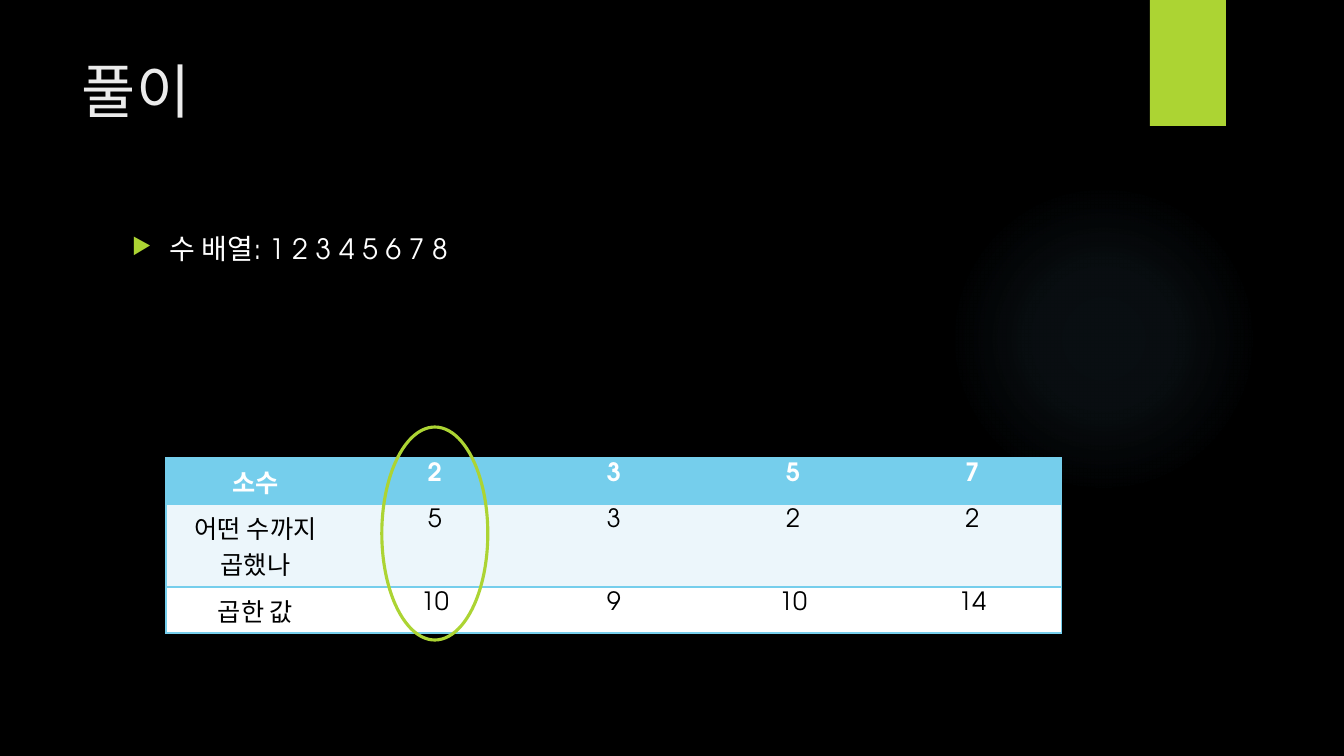
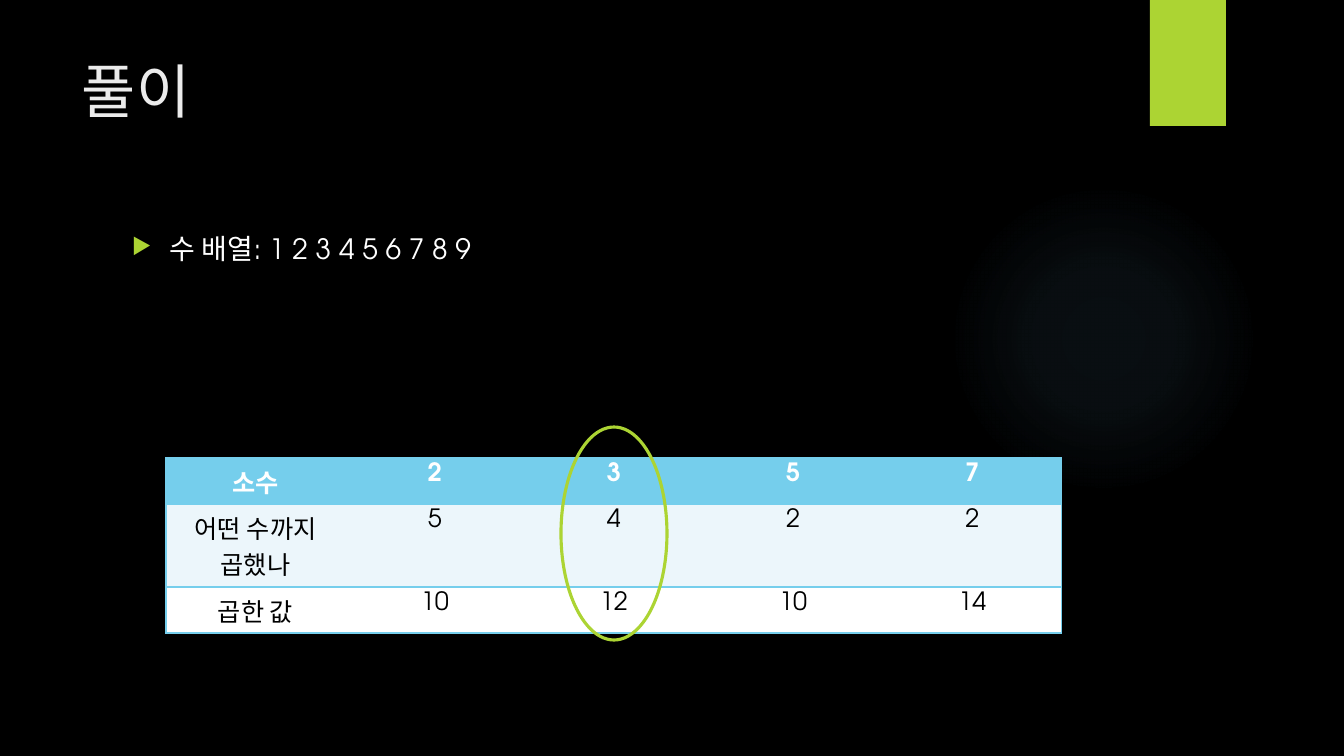
"""Builds two solution slides, each with a table of primes and one ringed column."""
import pptx
import pptx.dml.color
import pptx.enum.shapes
import pptx.enum.text
import pptx.oxml
import pptx.oxml.ns
import pptx.util

TITLE = "풀이"
HEADS = ["소수", "어떤 수까지\v곱했나", "곱한 값"]
PRIMES = ["2", "3", "5", "7"]
SLIDES = [
    {"list": "수 배열: 1 2 3 4 5 6 7 8", "ring": 1,
     "counts": ["5", "3", "2", "2"], "values": ["10", "9", "10", "14"]},
    {"list": "수 배열: 1 2 3 4 5 6 7 8 9", "ring": 2,
     "counts": ["5", "4", "2", "2"], "values": ["10", "12", "10", "14"]},
]

FONT = "TeX Gyre Adventor"
COLORS = {"back": "000000", "lime": "ACD433", "glow": "7AC4F0", "title": "EBEBEB",
          "white": "FFFFFF", "black": "000000", "sky": "75CEEC", "pale": "ECF6FB"}
ROWS = [(46, "sky", "white", True), (83, "pale", "black", False), (46, "white", "black", False)]
GLOW = [(0, 7), (36, 6), (69, 0)]
PX = 914400 / 100.8
WIDE, HIGH = 1344, 756
TABLE = (166, 458, 896, sum(row[0] for row in ROWS))
COLS = len(PRIMES) + 1
RING = (106, 213)
NS = pptx.oxml.ns.nsdecls("a")
OVAL = pptx.enum.shapes.MSO_SHAPE.OVAL
RECT = pptx.enum.shapes.MSO_SHAPE.RECTANGLE


def px(*sizes):
    return [pptx.util.Emu(round(size * PX)) for size in sizes]


def color(name):
    return pptx.dml.color.RGBColor.from_string(COLORS[name])


def paint(fill, name):
    fill.solid()
    fill.fore_color.rgb = color(name)


def style(frame, size, name, bold=False):
    for par in frame.paragraphs:
        for run in par.runs:
            run.font.name = FONT
            run.font.size = pptx.util.Pt(size)
            run.font.bold = bold
            run.font.color.rgb = color(name)


def add_text(slide, box, text, size, name):
    frame = slide.shapes.add_textbox(*px(*box)).text_frame
    frame.word_wrap = True
    frame.text = text
    style(frame, size, name)
    return frame.paragraphs[0]


def add_shape(slide, kind, box):
    shape = slide.shapes.add_shape(kind, *px(*box))
    shape.shadow.inherit = False
    shape.fill.background()
    shape.line.fill.background()
    return shape


def add_base(deck):
    slide = deck.slides.add_slide(deck.slide_layouts[6])
    paint(slide.background.fill, "back")
    glow = add_shape(slide, OVAL, (949, 184, 310, 310))
    stops = "".join(
        f'<a:gs pos="{pos * 1000}"><a:srgbClr val="{COLORS["glow"]}">'
        f'<a:alpha val="{alpha * 1000}"/></a:srgbClr></a:gs>' for pos, alpha in GLOW)
    blend = pptx.oxml.parse_xml(
        f'<a:gradFill {NS}><a:gsLst>{stops}</a:gsLst><a:path path="circle">'
        '<a:fillToRect l="50000" t="50000" r="50000" b="50000"/></a:path></a:gradFill>')
    props = glow.element.spPr
    props.replace(props.find(pptx.oxml.ns.qn("a:noFill")), blend)
    band = add_shape(slide, RECT, (1150, 0, 76, 126))
    paint(band.fill, "lime")
    add_text(slide, (72, 50, 1037, 154), TITLE, 42, "title")
    return slide


def add_list(slide, text):
    par = add_text(slide, (122, 227, 986, 463), text, 20, "white")
    par.space_before = pptx.util.Pt(10)
    props = par._p.get_or_add_pPr()
    indent = px(38)[0]
    props.set("marL", str(indent))
    props.set("indent", str(-indent))
    for part in (f'<a:buClr {NS}><a:srgbClr val="{COLORS["lime"]}"/></a:buClr>',
                 f'<a:buSzPct {NS} val="80000"/>', f'<a:buChar {NS} char="▶"/>'):
        props.append(pptx.oxml.parse_xml(part))


def add_edges(cell, col):
    shown = {"L": col == 0, "R": col == COLS - 1, "T": True, "B": True}
    line = f'<a:solidFill><a:srgbClr val="{COLORS["sky"]}"/></a:solidFill>'
    for side, show in shown.items():
        cell._tc.get_or_add_tcPr().append(pptx.oxml.parse_xml(
            f'<a:ln{side} {NS} w="12700">{line if show else "<a:noFill/>"}</a:ln{side}>'))


def add_grid(slide, data):
    table = slide.shapes.add_table(len(ROWS), COLS, *px(*TABLE)).table
    table.horz_banding = False
    for col in table.columns:
        col.width = px(TABLE[2] / COLS)[0]
    rows = [PRIMES, data["counts"], data["values"]]
    for r, (high, fill, ink, bold) in enumerate(ROWS):
        table.rows[r].height = px(high)[0]
        for c, text in enumerate([HEADS[r]] + rows[r]):
            cell = table.cell(r, c)
            cell.text_frame.text = text
            cell.text_frame.paragraphs[0].alignment = pptx.enum.text.PP_ALIGN.CENTER
            style(cell.text_frame, 18, ink, bold)
            add_edges(cell, c)
            paint(cell.fill, fill)


def add_ring(slide, col):
    left, top, wide, high = TABLE
    mid = left + wide / COLS * (col + 0.5)
    ring = add_shape(slide, OVAL, (mid - RING[0] / 2, top - 31, *RING))
    paint(ring.line.fill, "lime")
    ring.line.width = pptx.util.Pt(2.25)


def main():
    deck = pptx.Presentation()
    deck.slide_width, deck.slide_height = px(WIDE, HIGH)
    for data in SLIDES:
        slide = add_base(deck)
        add_list(slide, data["list"])
        add_grid(slide, data)
        add_ring(slide, data["ring"])
    deck.save("out.pptx")


if __name__ == "__main__":
    main()
